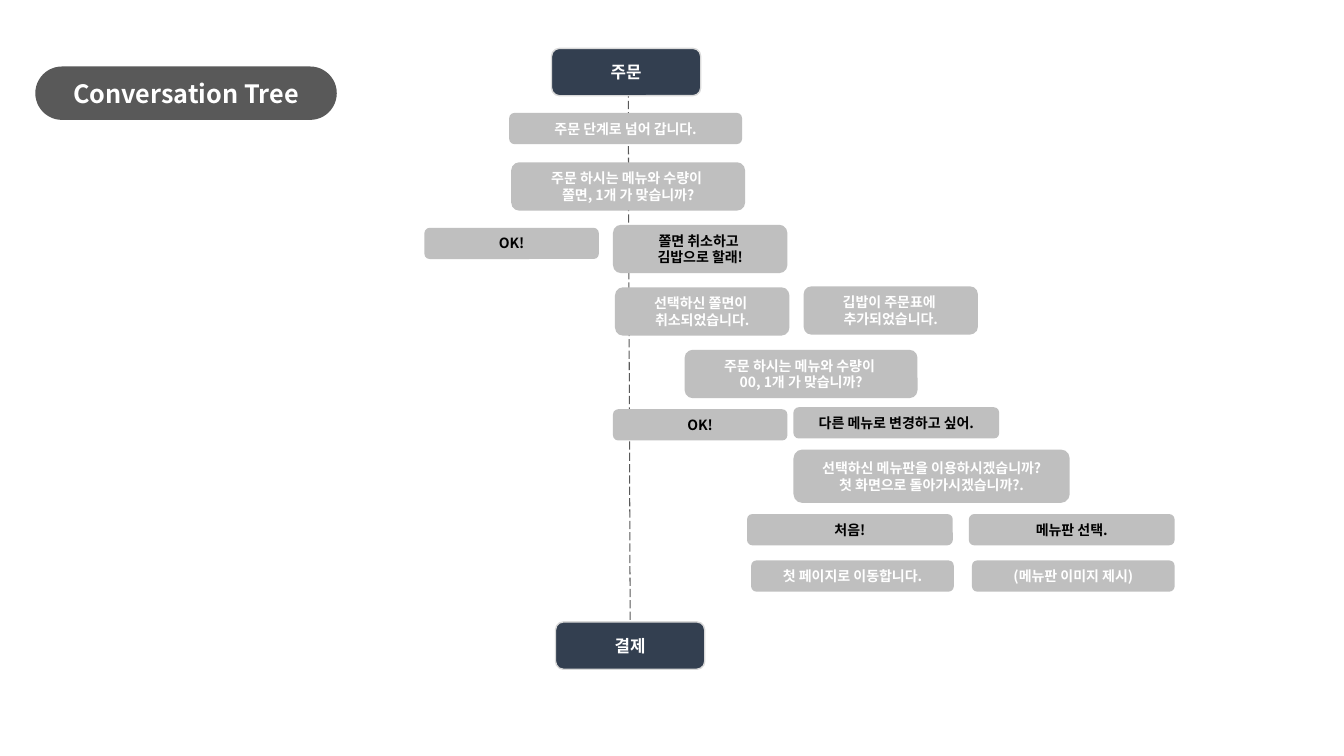
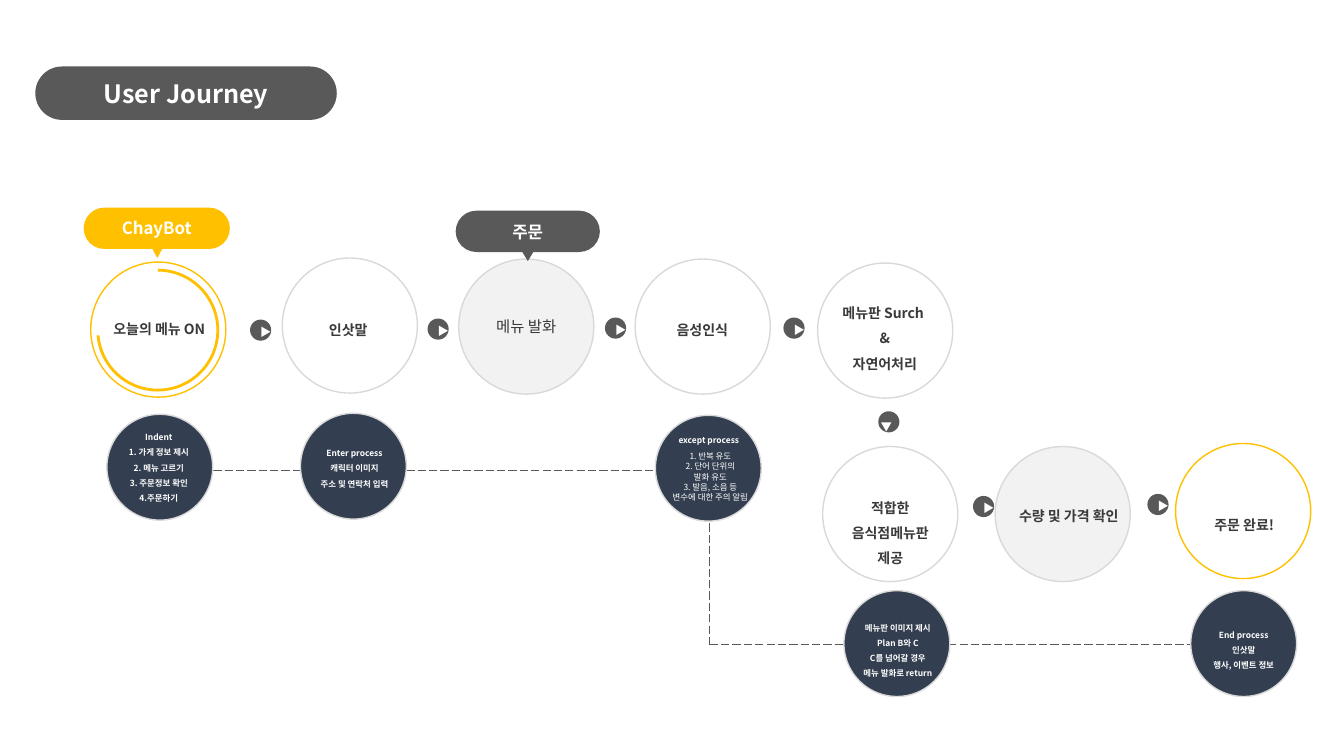
from lxml import etree
from pptx import Presentation
from pptx import util as u
from pptx.dml.color import RGBColor
from pptx.enum import dml, shapes, text
from pptx.oxml.ns import qn

COLORS = {
    "dark": "595959", "navy": "333F50", "edge": "D9D9D9", "grey": "BFBFBF",
    "pale": "F2F2F2", "yellow": "FFC000", "ink": "3A3A3A",
    "white": "FFFFFF", "black": "000000",
}
FONT = "Noto Sans CJK KR"
SHAPE = shapes.MSO_SHAPE
STAGE, NOTE, BADGE = 1.34, 1.05, 0.21


def rgb(name):
    return RGBColor.from_string(COLORS[name])


def write(sp, content, size=10, color="white", bold=True, spacing=None,
          anchor=text.MSO_ANCHOR.MIDDLE, wrap=True):
    tf = sp.text_frame
    tf.word_wrap = wrap
    tf.vertical_anchor = anchor
    for i, line in enumerate(content.split("\n")):
        p = tf.add_paragraph() if i else tf.paragraphs[0]
        p.alignment = text.PP_ALIGN.CENTER
        if spacing:
            p.line_spacing = spacing
        r = p.add_run()
        r.text = line
        r.font.size = u.Pt(size)
        r.font.bold = bold
        r.font.name = FONT
        r.font.color.rgb = rgb(color)
        etree.SubElement(r.font._element, qn("a:ea")).set("typeface", FONT)


class Deck:
    def __init__(self):
        self.prs = Presentation()
        self.prs.slide_width = u.Inches(13.33)
        self.prs.slide_height = u.Inches(7.5)
        self.s = None

    def slide(self):
        self.s = self.prs.slides.add_slide(self.prs.slide_layouts[6])

    def shape(self, kind, x, y, w, h, fill=None, line=None, width=1, adj=(), rot=0):
        sp = self.s.shapes.add_shape(kind, *map(u.Inches, (x, y, w, h)))
        sp.shadow.inherit = False
        sp.rotation = rot
        for i, value in enumerate(adj):
            sp.adjustments[i] = value
        if fill:
            sp.fill.solid()
            sp.fill.fore_color.rgb = rgb(fill)
        else:
            sp.fill.background()
        if line:
            sp.line.color.rgb = rgb(line)
            sp.line.width = u.Pt(width)
        else:
            sp.line.fill.background()
        return sp

    def pill(self, x, y, w, h, content, fill="dark", size=12):
        write(self.shape(SHAPE.ROUNDED_RECTANGLE, x, y, w, h, fill, adj=[0.5]),
              content, size=size)

    def title(self, content):
        self.pill(0.35, 0.66, 2.99, 0.53, content, size=18)

    def step(self, x, y, content):
        sp = self.shape(SHAPE.ROUNDED_RECTANGLE, x, y, 1.48, 0.47, "navy", "edge")
        write(sp, content, size=12)
        return sp

    def bubble(self, x, y, w, h, content, color="white"):
        write(self.shape(SHAPE.ROUNDED_RECTANGLE, x, y, w, h, "grey"),
              content, color=color)

    def circle(self, x, y, size, fill=None, line=None):
        return self.shape(SHAPE.OVAL, x, y, size, size, fill, line)

    def label(self, x, y, w, h, content, rot=0, spacing=1.5, **style):
        sp = self.s.shapes.add_textbox(*map(u.Inches, (x, y, w, h)))
        sp.rotation = rot
        write(sp, content, spacing=spacing, anchor=text.MSO_ANCHOR.TOP, **style)
        sp.text_frame.auto_size = text.MSO_AUTO_SIZE.SHAPE_TO_FIT_TEXT

    def badge(self, x, y, rot=0):
        self.circle(x, y, BADGE, "dark").rotation = rot
        dx, dy = (0.04, -0.03) if rot else (0.03, -0.06)
        self.label(x + dx, y + dy, 0.17, 0.28, "▶", rot=rot, size=8)

    def callout(self, x, y, w, content, fill, tip_x, tip_w):
        self.shape(SHAPE.ISOSCELES_TRIANGLE, tip_x, y + 0.26, tip_w, 0.24, fill, rot=180)
        self.pill(x, y, w, 0.41, content, fill)

    def dashed(self, x1, y1, x2, y2):
        c = self.s.shapes.add_connector(
            shapes.MSO_CONNECTOR.STRAIGHT, *map(u.Inches, (x1, y1, x2, y2)))
        c.line.color.rgb = rgb("dark")
        c.line.width = u.Pt(0.75)
        c.line.dash_style = dml.MSO_LINE.LONG_DASH
        etree.SubElement(c._element.spPr, qn("a:effectLst"))
        return c


def conversation_tree(deck):
    deck.slide()
    trunk = deck.dashed(6.23, 0.55, 6.25, 6.17)
    deck.title("Conversation Tree")
    deck.step(5.47, 0.48, "주문")
    for bot in [
        (5.05, 1.12, 2.31, 0.31, "주문 단계로 넘어 갑니다."),
        (5.07, 1.61, 2.32, 0.48, "주문 하시는 메뉴와 수량이 \n쫄면, 1개 가 맞습니까?"),
        (6.79, 3.47, 2.31, 0.48, "주문 하시는 메뉴와 수량이 \n00, 1개 가 맞습니까?"),
        (6.1, 2.85, 1.73, 0.48, "선택하신 쫄면이 \n취소되었습니다."),
        (7.97, 2.84, 1.73, 0.48, "깁밥이 주문표에 \n추가되었습니다."),
        (7.87, 4.46, 2.74, 0.53,
         "선택하신 메뉴판을 이용하시겠습니까?\n첫 화면으로 돌아가시겠습니까?."),
        (7.45, 5.56, 2.01, 0.31, "첫 페이지로 이동합니다."),
        (9.64, 5.56, 2.01, 0.31, "(메뉴판 이미지 제시)"),
    ]:
        deck.bubble(*bot)
    for user in [
        (4.21, 2.26, 1.73, 0.31, "OK!"),
        (6.08, 2.23, 1.73, 0.48, "쫄면 취소하고 \n김밥으로 할래!"),
        (6.08, 4.06, 1.73, 0.31, "OK!"),
        (7.87, 4.04, 2.04, 0.31, "다른 메뉴로 변경하고 싶어."),
        (9.61, 5.1, 2.04, 0.31, "메뉴판 선택."),
        (7.41, 5.1, 2.04, 0.31, "처음!"),
    ]:
        deck.bubble(*user, color="black")
    trunk.end_connect(deck.step(5.51, 6.17, "결제"), 0)


def user_journey(deck):
    deck.slide()
    for ends in [(7.04, 6.4, 7.04, 4.39), (7.04, 6.39, 12.83, 6.39),
                 (1.44, 4.67, 6.5, 4.67)]:
        deck.dashed(*ends)
    for x, y in [(11.81, 5.86), (8.37, 5.86), (6.5, 4.12), (2.98, 4.1), (1.06, 4.11)]:
        deck.circle(x, y, NOTE, "navy", "edge")
    for x, y, fill, line in [
        (11.66, 4.4, "white", "yellow"), (9.87, 4.43, "pale", "edge"),
        (0.9, 2.6, "white", "yellow"), (2.8, 2.56, None, "edge"),
        (6.3, 2.57, None, "edge"), (8.11, 2.61, None, "edge"),
        (8.16, 4.43, None, "edge"),
    ]:
        deck.circle(x, y, STAGE, fill, line)
    write(deck.circle(4.55, 2.57, STAGE, "pale", "edge"), "메뉴 발화",
          size=11, color="ink", bold=False)
    deck.shape(SHAPE.ARC, 0.97, 2.68, 1.19, 1.19, line="yellow", width=2,
               adj=[162, 104.985])
    for stage in [
        (0.98, 3.05, 1.2, 0.57, "오늘의 메뉴 ON"),
        (2.87, 3.06, 1.2, 0.32, "인삿말 "),
        (6.32, 3.06, 1.29, 0.32, "음성인식"),
        (8.13, 2.89, 1.29, 1.08, "메뉴판 Surch \n&\n자연어처리"),
        (8.23, 4.82, 1.2, 0.57, "적합한 음식점메뉴판 제공"),
        (9.93, 4.9, 1.34, 0.32, "수량 및 가격 확인"),
        (11.67, 4.99, 1.34, 0.32, "주문 완료!"),
    ]:
        deck.label(*stage, color="ink")
    for x, y in [(2.48, 3.17), (4.24, 3.16), (6, 3.15), (7.77, 3.15),
                 (9.65, 4.92), (11.38, 4.9)]:
        deck.badge(x, y)
    deck.badge(8.71, 4.08, rot=90)
    deck.callout(0.83, 2.06, 1.45, "ChayBot", "yellow", 1.43, 0.26)
    deck.callout(4.52, 2.09, 1.43, "주문", "dark", 5.09, 0.29)
    deck.title("User Journey")
    for note in [
        (0.85, 4.19, 1.45, 1.08,
         "Indent\n1. 가게 정보 제시\n2. 메뉴 고르기\n3. 주문정보 확인\n4.주문하기"),
        (2.87, 4.35, 1.29, 0.54, "Enter process\n캐릭터 이미지\n주소 및 연락처 입력"),
        (6.43, 4.22, 1.2, 0.23, "except process"),
        (8.19, 6.08, 1.43, 0.69,
         "메뉴판 이미지 제시\nPlan B와 C\nC를 넘어갈 경우\n메뉴 발화로 return"),
        (11.62, 6.15, 1.43, 0.54, "End process\n인삿말\n행사, 이벤트 정보"),
    ]:
        deck.label(*note, size=6)
    deck.label(6.52, 4.43, 1.05, 0.77,
               "1. 반복 유도\n2. 단어 단위의\n발화 유도\n3. 발음, 소음 등\n변수에 대한 주의 알림",
               size=6, bold=False, spacing=None, wrap=False)


def main():
    deck = Deck()
    conversation_tree(deck)
    user_journey(deck)
    deck.prs.save("out.pptx")


if __name__ == "__main__":
    main()
